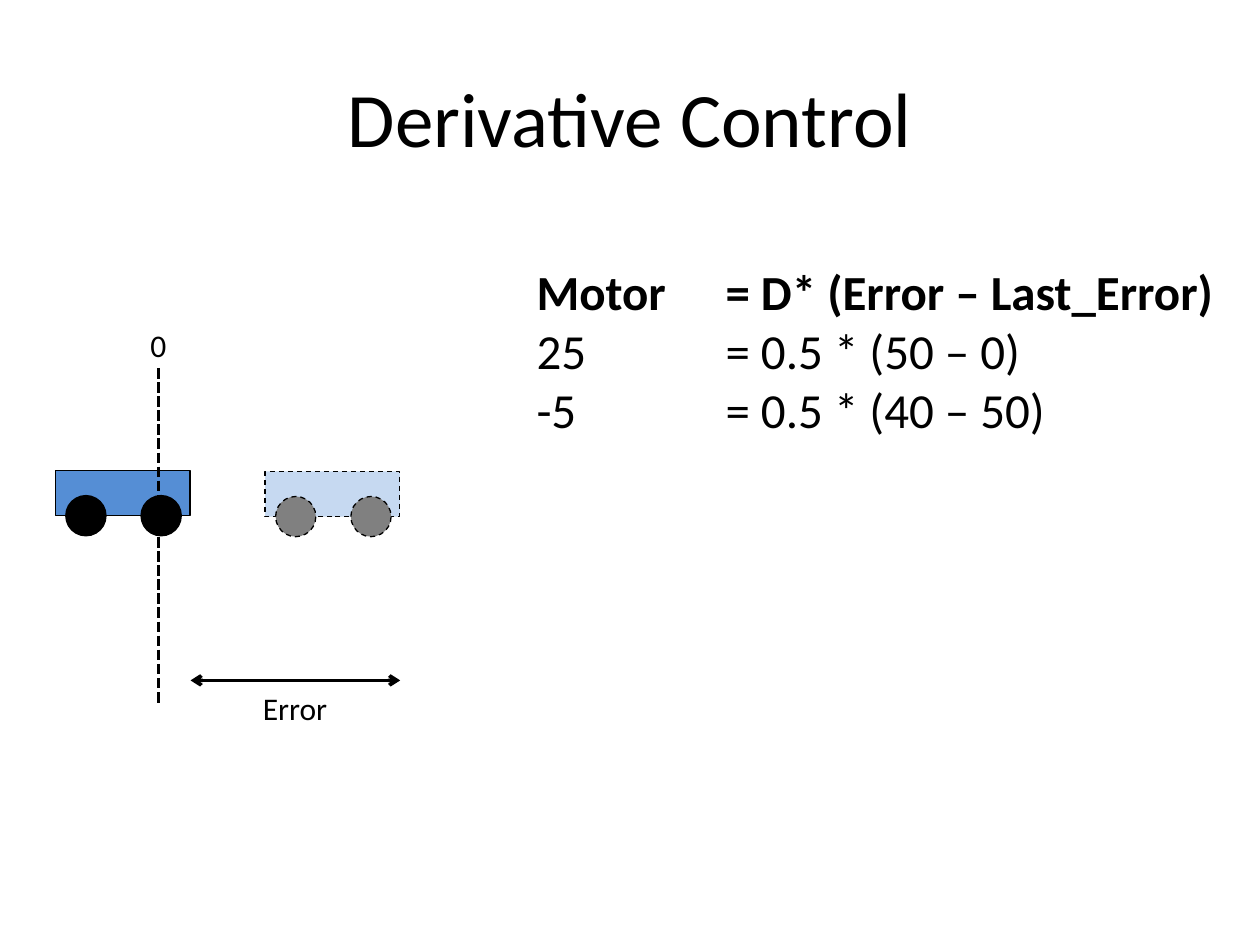
import pptx
import pptx.util
import pptx.dml.color
import pptx.enum.dml
import pptx.enum.shapes
import pptx.enum.text
import pptx.oxml
import pptx.oxml.ns

Pt = pptx.util.Pt
DASH = pptx.enum.dml.MSO_LINE
KIND = pptx.enum.shapes.MSO_SHAPE
ALIGN = pptx.enum.text.PP_ALIGN
MID = pptx.enum.text.MSO_ANCHOR.MIDDLE

HUES = {
    "ink": "000000",
    "car": "558ED5",
    "ghost": "C6D9F1",
    "tire": "808080",
}
TAB = 108  # column of the equals signs
WHEEL = 23


def tint(name):
    return pptx.dml.color.RGBColor.from_string(HUES[name])


def add_xml(node, tag, body=""):
    item = pptx.oxml.parse_xml(
        f"<a:{tag} {pptx.oxml.ns.nsdecls('a')}>{body}</a:{tag}>")
    node.append(item)


def add_text(slide, box, lines, size=18, align=ALIGN.CENTER, bold=(),
             anchor=None, top=3.6, tab=None):
    """Add a text box; bold holds the indexes of the bold lines."""
    frame = slide.shapes.add_textbox(*map(Pt, box)).text_frame
    frame.word_wrap = True
    frame.margin_top = Pt(top)
    if anchor is not None:
        frame.vertical_anchor = anchor
    for i, line in enumerate(lines):
        para = frame.paragraphs[0] if i == 0 else frame.add_paragraph()
        para.alignment = align
        if tab:
            add_xml(para._p.get_or_add_pPr(), "tabLst",
                    f'<a:tab pos="{Pt(tab)}" algn="l"/>')
        run = para.add_run()
        run.text = line
        run.font.name = "Calibri"
        run.font.size = Pt(size)
        run.font.bold = i in bold
        run.font.color.rgb = tint("ink")


def add_part(group, kind, box, fill, dash):
    part = group.shapes.add_shape(kind, *map(Pt, box))
    part.shadow.inherit = False
    part.fill.solid()
    part.fill.fore_color.rgb = tint(fill)
    part.line.color.rgb = tint("ink")
    part.line.width = Pt(0.75)
    if dash:
        part.line.dash_style = dash


def add_car(slide, left, top, body, tire, dash=None):
    group = slide.shapes.add_group_shape()
    add_part(group, KIND.RECTANGLE, (left, top, 77, 25.9), body, dash)
    for gap in (6, 49):
        box = (left + gap, top + 14.3, WHEEL, WHEEL)
        add_part(group, KIND.OVAL, box, tire, dash)


def add_line(slide, ends, dash=None, heads=False):
    line = slide.shapes.add_connector(
        pptx.enum.shapes.MSO_CONNECTOR.STRAIGHT, *map(Pt, ends))
    line.line.color.rgb = tint("ink")
    line.line.width = Pt(2)
    if dash:
        line.line.dash_style = dash
    if heads:
        for end in ("headEnd", "tailEnd"):
            add_xml(line.line._ln, end)
            line.line._ln[-1].set("type", "arrow")
    add_xml(line._element.spPr, "effectLst")


def main():
    deck = pptx.Presentation()
    deck.slide_width, deck.slide_height = Pt(720), Pt(540)
    slide = deck.slides.add_slide(deck.slide_layouts[6])

    # Earlier place of the car, title, and present place
    add_car(slide, 151.5, 269.4, "ghost", "tire", DASH.DASH)
    add_text(slide, (36, 21.6, 648, 90), ["Derivative Control"],
             size=44, anchor=MID)
    add_car(slide, 31.6, 268.9, "car", "ink")

    # Zero mark
    add_text(slide, (120, 390.2, 97.2, 29), ["Error"])
    add_line(slide, (90.5, 210.3, 90.5, 401.8), dash=DASH.SQUARE_DOT)
    add_text(slide, (59.8, 183, 61.2, 29), ["0"])

    # Formula and worked values
    add_text(slide, (299.5, 111.6, 409, 401), [
        "Motor\t= D* (Error – Last_Error)",
        "25\t= 0.5 * (50 – 0)",
        "-5\t= 0.5 * (40 – 50)",
    ], size=28, align=ALIGN.LEFT, bold=(0,), top=37.8, tab=TAB)

    # Error span
    add_line(slide, (228.7, 388.8, 108.9, 388.8), heads=True)

    deck.save("out.pptx")


if __name__ == "__main__":
    main()
